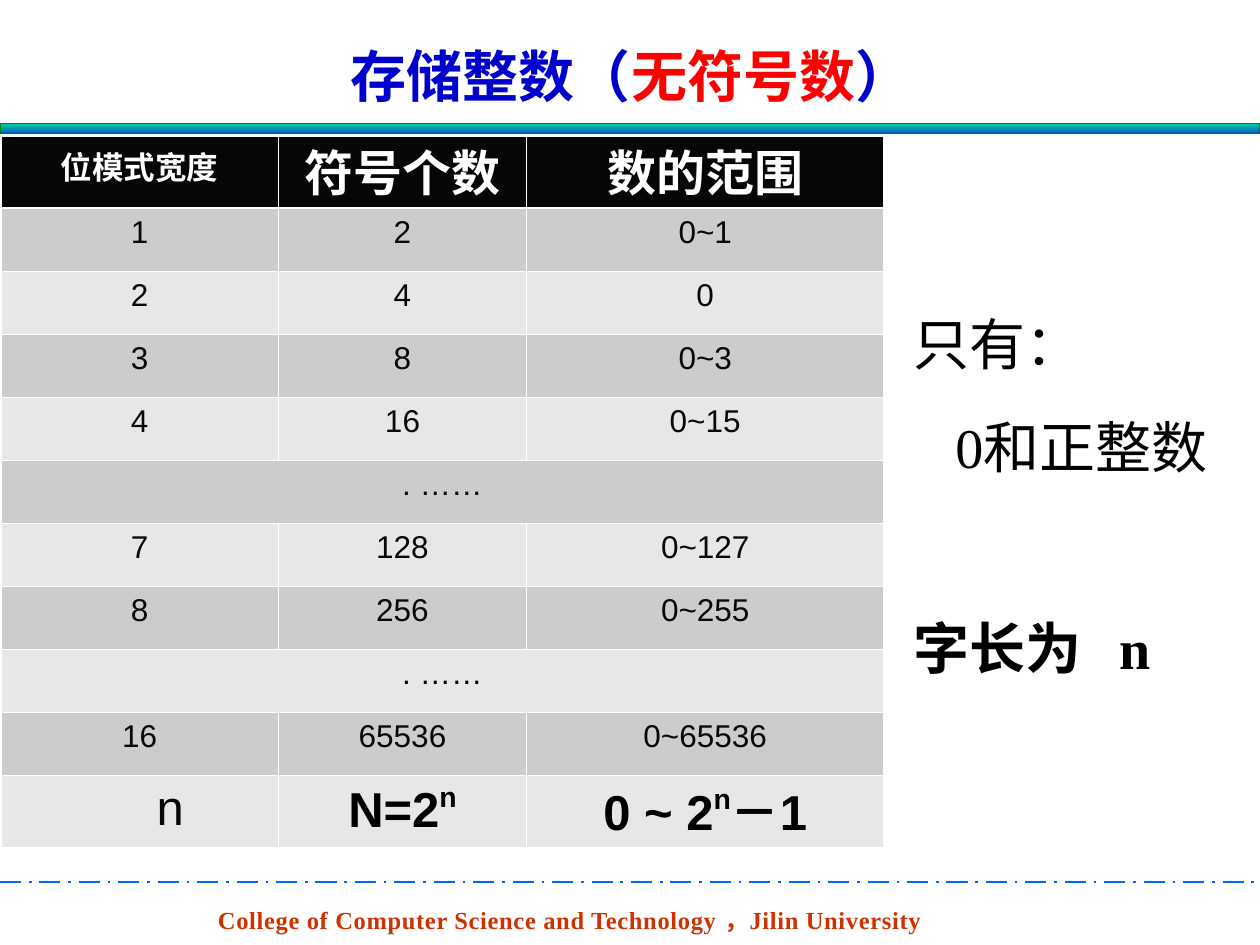
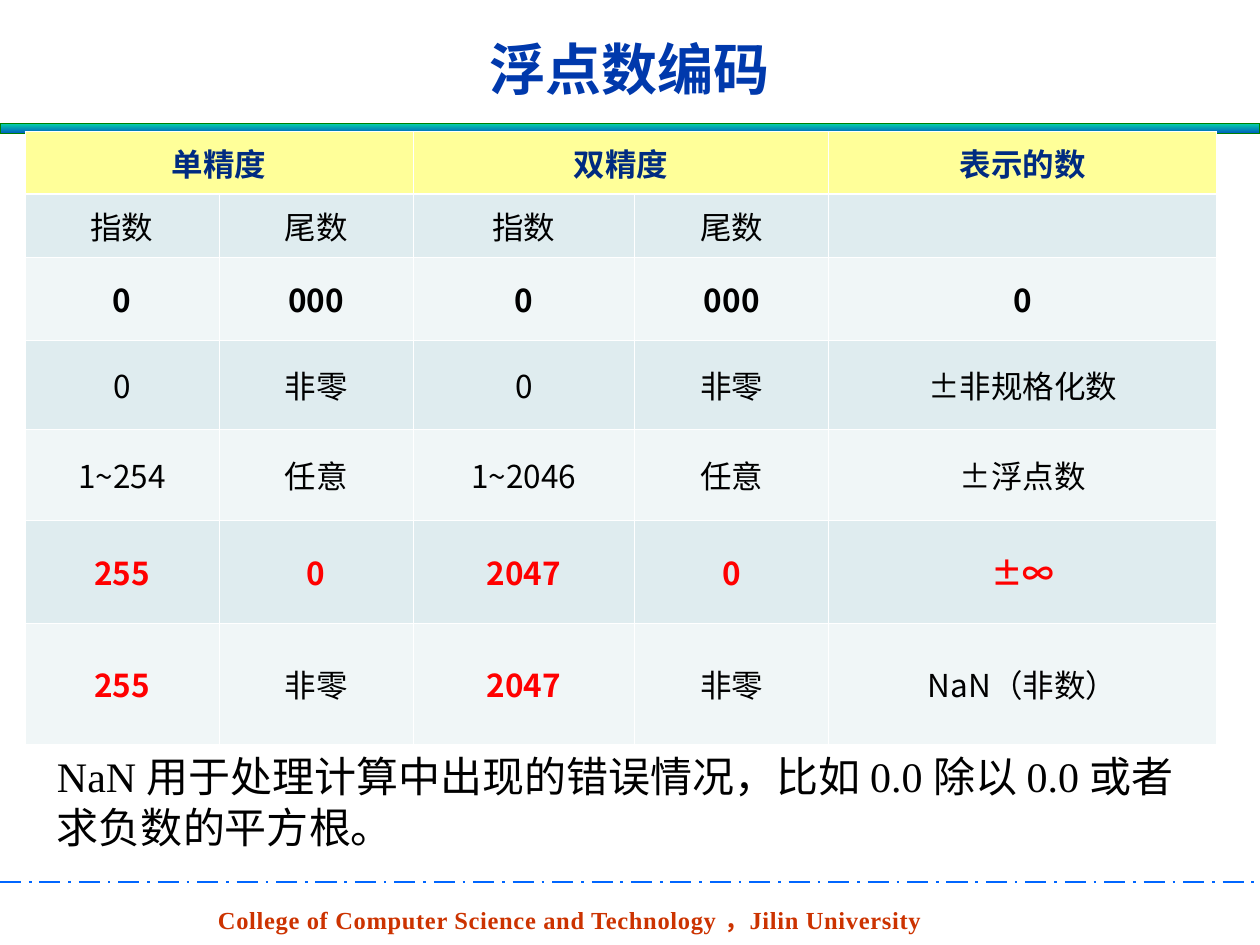
from lxml import etree
from pptx import Presentation
from pptx.dml.color import RGBColor
from pptx.enum.dml import MSO_LINE
from pptx.enum.shapes import MSO_CONNECTOR, MSO_SHAPE
from pptx.enum.text import MSO_ANCHOR as Anchor, PP_ALIGN as Align
from pptx.oxml.ns import qn
from pptx.util import Pt

COLORS = {
    "title_blue": "0000CC", "title_navy": "0039AC", "alert": "FF0000",
    "black": "000000", "white": "FFFFFF", "footer": "CC3300",
    "rule": "0066FF", "band_top": "03D4A8", "band_bottom": "005CBF",
    "band_edge": "008000",
    "range_head": "060606", "range_text": "080808",
    "range_dark": "CCCCCC", "range_light": "E7E7E7",
    "float_head": "FFFF99", "float_head_text": "002B81",
    "float_dark": "DFECEF", "float_light": "F0F6F7",
}
CJK_FONT = "Noto Sans CJK SC"
SERIF = "Times New Roman"
SLIDE_WIDTH, SLIDE_HEIGHT = 720, 540
THIN, THICK = 0.45, 1.47

BOLD = {"bold": True}
ALERT = {"bold": True, "color": "alert"}
LARGE = {"size": 28}
FORMULA = {"size": 28, "bold": True, "color": "black"}
EXPONENT = {**FORMULA, "baseline": 42}
ELLIPSIS_ROW = [". ……", None, None]


def rgb(name):
    return RGBColor.from_string(COLORS[name])


def add_spans(para, content, base):
    """Add runs from a string or a list of (text, overrides) pairs."""
    spans = [(content, {})] if isinstance(content, str) else content
    for text, overrides in spans:
        look = {**base, **overrides}
        span = para.add_run()
        span.text = text
        values = {"name": look["name"], "size": Pt(look["size"]),
                  "bold": look.get("bold", False)}
        for attribute, value in values.items():
            setattr(span.font, attribute, value)
        span.font.color.rgb = rgb(look["color"])
        properties = span.font._element
        etree.SubElement(properties, qn("a:ea")).set("typeface", CJK_FONT)
        if "baseline" in look:
            properties.set("baseline", str(look["baseline"] * 1000))
        if "spacing" in look:
            properties.set("spc", str(round(look["spacing"] * 100)))


def indent_paragraph(para, indent):
    properties = para._p.get_or_add_pPr()
    properties.set("marL", str(Pt(indent)))
    properties.set("indent", "0")


def add_tab_stop(para, position):
    tabs = etree.SubElement(para._p.get_or_add_pPr(), qn("a:tabLst"))
    etree.SubElement(tabs, qn("a:tab"), pos=str(Pt(position)), algn="l")


def add_text_box(page, place, content, base, align=Align.LEFT,
                 anchor=Anchor.TOP):
    """Add a one-paragraph box and return its text frame."""
    box = page.shapes.add_textbox(*map(Pt, place))
    frame = box.text_frame
    frame.word_wrap = True
    frame.vertical_anchor = anchor
    para = frame.paragraphs[0]
    para.alignment = align
    add_spans(para, content, base)
    return frame


def add_title(page, place, content, color, anchor=Anchor.TOP):
    look = {"name": "Arial", "size": 32, "bold": True, "color": color}
    add_text_box(page, place, content, look, Align.CENTER, anchor)


def add_band(page):
    band = page.shapes.add_shape(MSO_SHAPE.RECTANGLE, 0, Pt(70.5),
                                 Pt(SLIDE_WIDTH), Pt(5.8))
    band.shadow.inherit = False
    band.fill.gradient()
    band.fill.gradient_angle = 270
    stops = zip(band.fill.gradient_stops, ("band_top", "band_bottom"), (0, 1))
    for stop, color, position in stops:
        stop.color.rgb = rgb(color)
        stop.position = position
    band.line.color.rgb = rgb("band_edge")
    band.line.width = Pt(0.75)


def add_footer(page):
    rule = page.shapes.add_connector(MSO_CONNECTOR.STRAIGHT, 0, Pt(504),
                                     Pt(SLIDE_WIDTH), Pt(504))
    rule.line.color.rgb = rgb("rule")
    rule.line.width = Pt(1.5)
    rule.line.dash_style = MSO_LINE.LONG_DASH_DOT
    etree.SubElement(rule._element.spPr, qn("a:effectLst"))
    look = {"name": SERIF, "size": 14, "bold": True, "color": "footer",
            "spacing": 0.36}
    add_text_box(page, (117.5, 513.5, 426, 24.5),
                 "College of Computer Science and Technology ，Jilin University",
                 look)


def add_page(deck):
    page = deck.slides.add_slide(deck.slide_layouts[6])
    add_footer(page)
    add_band(page)
    return page


def set_borders(cell, top, bottom):
    properties = cell._tc.get_or_add_tcPr()
    widths = {"lnL": THIN, "lnR": THIN, "lnT": top, "lnB": bottom}
    for side, width in widths.items():
        line = etree.SubElement(properties, qn(f"a:{side}"), w=str(Pt(width)))
        fill = etree.SubElement(line, qn("a:solidFill"))
        etree.SubElement(fill, qn("a:srgbClr"), val=COLORS["white"])


def add_grid(page, corner, widths, heights, rows, theme, anchor):
    """Add a table; rows are (cells, overrides), None joins the cell to its left."""
    frame = page.shapes.add_table(len(rows), len(widths), *map(Pt, corner),
                                  Pt(sum(widths)), Pt(sum(heights)))
    grid = frame.table
    grid.first_row = grid.horz_banding = False
    for column, width in zip(grid.columns, widths):
        column.width = Pt(width)
    for row, height in zip(grid.rows, heights):
        row.height = Pt(height)
    for r, (contents, overrides) in enumerate(rows):
        kind = "head" if r == 0 else "dark" if r % 2 else "light"
        base = {"name": theme["font"], "size": 18,
                "color": theme["text"], **overrides}
        start = 0
        for c, content in enumerate(contents):
            cell = grid.cell(r, c)
            set_borders(cell, THICK if r == 1 else THIN,
                        THICK if r == 0 else THIN)
            cell.fill.solid()
            cell.fill.fore_color.rgb = rgb(f"{theme['fills']}_{kind}")
            cell.vertical_anchor = anchor
            if content is None:
                if c + 1 == len(contents) or contents[c + 1] is not None:
                    grid.cell(r, start).merge(cell)
                continue
            start = c
            para = cell.text_frame.paragraphs[0]
            para.alignment = Align.CENTER
            if content:
                add_spans(para, content, base)
    return grid


def fit_large_line(cell):
    """Keep a large Chinese line from stretching its row."""
    cell.margin_bottom = 0
    cell.text_frame.paragraphs[0].line_spacing = Pt(36)


def build_unsigned_page(deck):
    page = add_page(deck)
    add_title(page, (54.7, 20.2, 612, 44.6),
              [("存储整数（", {}), ("无符号数", {"color": "alert"}), ("）", {})],
              "title_blue")
    head = {"bold": True, "color": "white"}
    rows = [
        (["位模式宽度", [("符号个数", LARGE)], [("数的范围", LARGE)]], head),
        (["1", "2", "0~1"], {}),
        (["2", "4", "0"], {}),
        (["3", "8", "0~3"], {}),
        (["4", "16", "0~15"], {}),
        (ELLIPSIS_ROW, {}),
        (["7", "128", "0~127"], {}),
        (["8", "256", "0~255"], {}),
        (ELLIPSIS_ROW, {}),
        (["16", "65536", "0~65536"], {}),
        ([[("n", LARGE)],
          [("N=2", FORMULA), ("n", EXPONENT)],
          [("0 ~ 2", FORMULA), ("n", EXPONENT), ("－1", FORMULA)]], {}),
    ]
    theme = {"font": "Arial", "text": "range_text", "fills": "range"}
    grid = add_grid(page, (0.5, 78), (158.5, 142, 204),
                    (41, *[36] * 9, 41), rows, theme, Anchor.TOP)
    for r, c in ((0, 1), (0, 2), (10, 2)):
        fit_large_line(grid.cell(r, c))
    indent_paragraph(grid.cell(10, 0).text_frame.paragraphs[0], 35)

    look = {"name": SERIF, "size": 32, "color": "black"}
    frame = add_text_box(page, (514.8, 173.5, 197.5, 221), "只有：", look)
    numbers = frame.add_paragraph()
    numbers.space_before = Pt(20)
    indent_paragraph(numbers, 24)
    add_spans(numbers, "0和正整数", look)
    word_length = frame.add_paragraph()
    word_length.space_before = Pt(77)
    add_tab_stop(word_length, 118)
    add_spans(word_length, "字长为\tn", {**look, **BOLD})


def build_float_page(deck):
    page = add_page(deck)
    add_title(page, (82, 15, 556, 47.5), "浮点数编码", "title_navy",
              Anchor.MIDDLE)
    rows = [
        (["单精度", None, "双精度", None, "表示的数"],
         {"bold": True, "color": "float_head_text"}),
        (["指数", "尾数", "指数", "尾数", ""], {}),
        (["0", "000", "0", "000", "0"], BOLD),
        (["0", "非零", "0", "非零", "±非规格化数"], {}),
        (["1~254", "任意", "1~2046", "任意", "±浮点数"], {}),
        (["255", "0", "2047", "0", "±∞"], ALERT),
        ([[("255", ALERT)], "非零", [("2047", ALERT)], "非零", "NaN（非数）"], {}),
    ]
    theme = {"font": CJK_FONT, "text": "black", "fills": "float"}
    add_grid(page, (14.2, 75), (111, 111, 126.5, 111, 221.5),
             (36, 36, 47.5, 51, 52, 59, 69), rows, theme, Anchor.MIDDLE)
    add_text_box(page, (25.5, 425.5, 657, 65),
                 "NaN 用于处理计算中出现的错误情况，比如 0.0 除以 0.0 或者求负数的平方根。",
                 {"name": SERIF, "size": 24, "color": "black"})


def main():
    deck = Presentation()
    deck.slide_width, deck.slide_height = Pt(SLIDE_WIDTH), Pt(SLIDE_HEIGHT)
    build_unsigned_page(deck)
    build_float_page(deck)
    deck.save("out.pptx")


if __name__ == "__main__":
    main()
